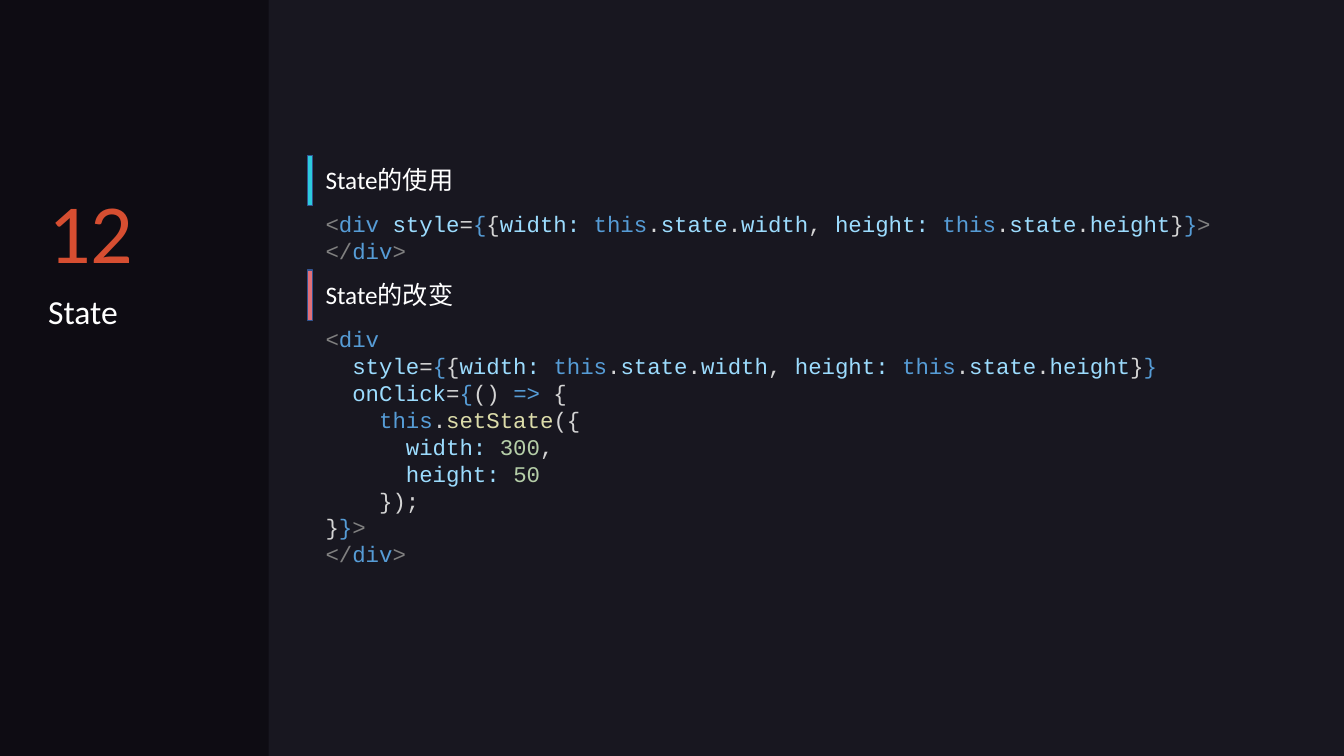
from pptx import Presentation
from pptx import util as u
from pptx.dml.color import RGBColor
from pptx.enum import shapes, text

# Code colours by token kind
TOKENS = {
    "tag": "808080", "key": "569CD6", "name": "9CDCFE",
    "sign": "D4D4D4", "call": "DCDCAA", "num": "B5CEA8",
}

# Code listings: one list of (kind, text) tokens per line
MEMBER = [("key", "this"), ("sign", "."), ("name", "state"), ("sign", ".")]
STYLE = [
    ("sign", "="), ("key", "{"), ("sign", "{"),
    ("name", "width: "), *MEMBER, ("name", "width"), ("sign", ", "),
    ("name", "height: "), *MEMBER, ("name", "height"),
    ("sign", "}"), ("key", "}"),
]
CLOSE = [("tag", "</"), ("key", "div"), ("tag", ">")]

USE_STATE = [
    [("tag", "<"), ("key", "div "), ("name", "style"), *STYLE, ("tag", ">")],
    CLOSE,
]
CHANGE_STATE = [
    [("tag", "<"), ("key", "div")],
    [("name", "  style"), *STYLE],
    [("name", "  onClick"), ("sign", "="), ("key", "{"), ("sign", "() "),
     ("key", "=>"), ("sign", " {")],
    [("key", "    this"), ("sign", "."), ("call", "setState"), ("sign", "({")],
    [("name", "      width: "), ("num", "300"), ("sign", ",")],
    [("name", "      height: "), ("num", "50")],
    [("sign", "    });")],
    [("sign", "}"), ("key", "}"), ("tag", ">")],
    CLOSE,
]


def color(hex_code):
    return RGBColor.from_string(hex_code)


class Deck:
    """Holds the style and the current slide; lengths are percent of the slide."""
    body, mono = "Calibri", "Courier New"
    white, accent, outline = "FFFFFF", "D64E31", "325491"
    back, panel_fill = "181720", "0E0C13"

    def __init__(self):
        self.prs = Presentation()
        self.prs.slide_width = u.Inches(13.33)
        self.prs.slide_height = u.Inches(7.5)
        self.s = self.prs.slides.add_slide(self.prs.slide_layouts[6])
        self.s.background.fill.solid()
        self.s.background.fill.fore_color.rgb = color(self.back)

    def box(self, x, y, w, h):
        sw, sh = self.prs.slide_width, self.prs.slide_height
        return [round(v * side / 100)
                for v, side in zip((x, y, w, h), (sw, sh, sw, sh))]

    def rect(self, x, y, w, h, fill, line=None):
        sp = self.s.shapes.add_shape(
            shapes.MSO_SHAPE.RECTANGLE, *self.box(x, y, w, h))
        sp.shadow.inherit = False
        sp.fill.solid()
        sp.fill.fore_color.rgb = color(fill)
        if line:
            sp.line.color.rgb = color(line)
            sp.line.width = u.Pt(1)
        else:
            sp.line.fill.background()

    def frame(self, x, y, w, h, wrap=True):
        tf = self.s.shapes.add_textbox(*self.box(x, y, w, h)).text_frame
        tf.word_wrap = wrap
        tf.auto_size = text.MSO_AUTO_SIZE.SHAPE_TO_FIT_TEXT
        return tf

    def label(self, x, y, w, h, words, size, fill=white, wrap=True):
        p = self.frame(x, y, w, h, wrap).paragraphs[0]
        p.text = words
        p.font.name, p.font.size = self.body, u.Pt(size)
        p.font.color.rgb = color(fill)

    def code(self, x, y, w, h, lines):
        tf = self.frame(x, y, w, h)
        for i, line in enumerate(lines):
            p = tf.add_paragraph() if i else tf.paragraphs[0]
            p.font.name, p.font.size = self.mono, u.Pt(16)
            for kind, words in line:
                r = p.add_run()
                r.text = words
                r.font.color.rgb = color(TOKENS[kind])

    def section(self, top, heading, fill, lines, code_height):
        bar_height = 6.67
        self.rect(22.88, top, 0.38, bar_height, fill, self.outline)
        self.label(23.48, top + 0.6, 39.16, 5.33, heading, 18)
        self.code(23.48, top + bar_height, 68.27, code_height, lines)


def main():
    deck = Deck()

    # Side panel with chapter number and title
    deck.rect(0, 0, 20, 100, deck.panel_fill)
    deck.label(2.85, 23.07, 7.88, 14.8, "12", 60, deck.accent, wrap=False)
    deck.label(2.85, 37.87, 14.1, 6.67, "State", 24)

    # Sections: heading with coloured bar, then code
    deck.section(20.53, "State的使用", "2CCBDE", USE_STATE, 8.53)
    deck.section(35.73, "State的改变", "E17079", CHANGE_STATE, 33.6)

    deck.prs.save("out.pptx")


if __name__ == "__main__":
    main()
